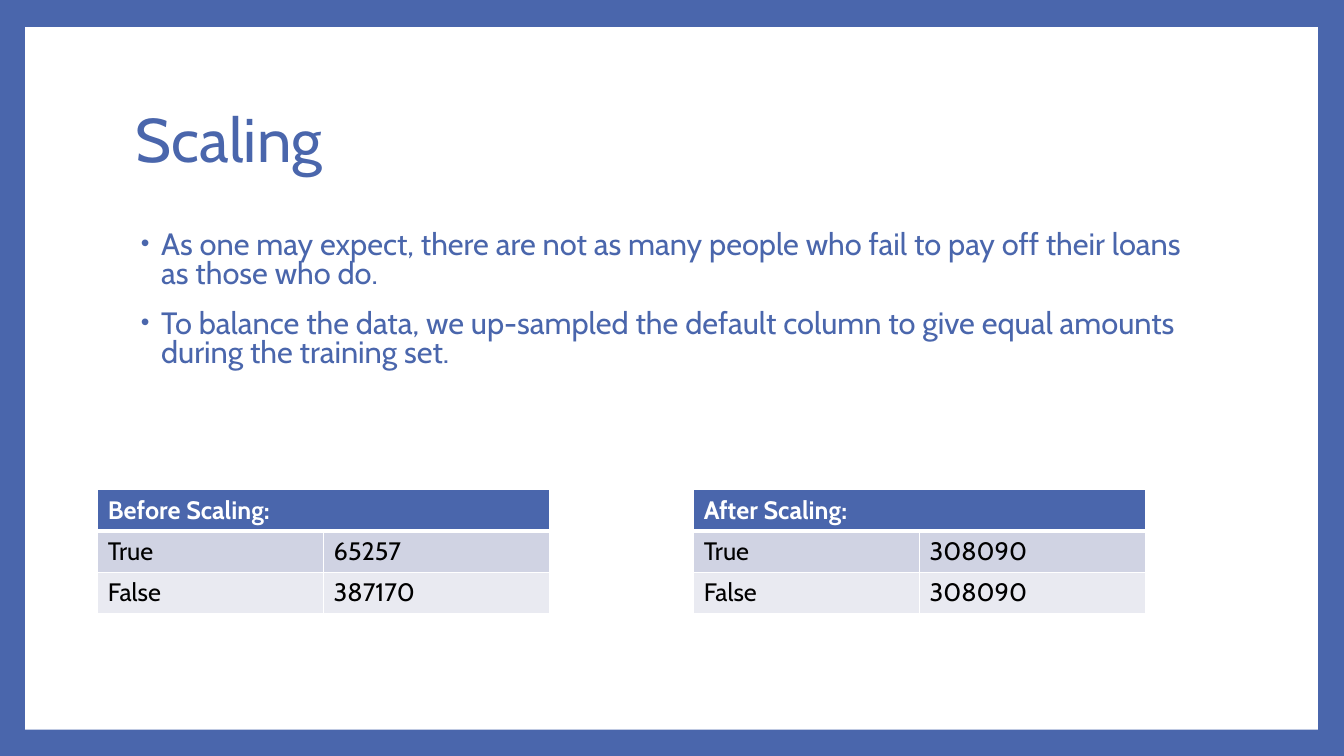
from dataclasses import dataclass

from lxml import etree
from pptx import Presentation
from pptx.dml.color import RGBColor
from pptx.enum import shapes, text
from pptx.oxml import ns
from pptx.util import Inches, Pt

TITLE = "Scaling"
BULLETS = [
    "As one may expect, there are not as many people who fail to pay off their loans as those who do.",
    "To balance the data, we up-sampled the default column to give equal amounts during the training set.",
]
TABLES = [
    ("Before Scaling:", [("True", "65257"), ("False", "387170")]),
    ("After Scaling:", [("True", "308090"), ("False", "308090")]),
]


@dataclass(frozen=True)
class Theme:
    """Font, colours and type sizes of the slide."""
    font: str = "Cabin"
    blue: str = "4A66AC"
    white: str = "FFFFFF"
    black: str = "000000"
    bands: tuple = ("D0D3E3", "E9EAF1")
    title_size: int = 44
    body_size: int = 22
    table_size: int = 18


THEME = Theme()
TEXT_LEFT, TEXT_WIDTH = 1.25, 10.8
TABLE_LEFT, TABLE_TOP, TABLE_STEP = 0.97, 4.86, 5.91
COLUMN_WIDTH, ROW_HEIGHT = 2.24, 0.41


def paint(fill, color):
    """Give a fill one solid colour."""
    fill.solid()
    fill.fore_color.rgb = RGBColor.from_string(color)


def style_runs(paragraph, size, color, bold=False):
    """Set the font of every run in a paragraph."""
    for run in paragraph.runs:
        run.font.name = THEME.font
        run.font.size = Pt(size)
        run.font.bold = bold
        run.font.color.rgb = RGBColor.from_string(color)


def add_element(parent, tag, **attributes):
    """Append a DrawingML element and return it."""
    return etree.SubElement(parent, ns.qn(tag), attributes)


def add_bullet(paragraph):
    """Give a paragraph a hanging round bullet."""
    properties = paragraph._p.get_or_add_pPr()
    properties.set("marL", str(Inches(0.25)))
    properties.set("indent", str(Inches(-0.2)))
    color = add_element(properties, "a:buClr")
    add_element(color, "a:srgbClr", val=THEME.blue)
    add_element(properties, "a:buSzPct", val="80000")
    add_element(properties, "a:buFont", typeface="Arial")
    add_element(properties, "a:buChar", char="•")


def add_text(slide, top, height, lines, anchor):
    """Add a wrapping text box and return its text frame."""
    box = slide.shapes.add_textbox(
        Inches(TEXT_LEFT), Inches(top), Inches(TEXT_WIDTH), Inches(height))
    frame = box.text_frame
    frame.word_wrap = True
    frame.vertical_anchor = anchor
    frame.text = "\n".join(lines)
    return frame


def add_title(slide):
    """Add the slide title."""
    frame = add_text(slide, 0.67, 1.48, [TITLE], text.MSO_ANCHOR.MIDDLE)
    frame.paragraphs[0].line_spacing = 0.9
    style_runs(frame.paragraphs[0], THEME.title_size, THEME.blue)


def add_body(slide):
    """Add the bulleted explanation."""
    frame = add_text(slide, 2.25, 1.52, BULLETS, text.MSO_ANCHOR.TOP)
    for paragraph in frame.paragraphs:
        paragraph.line_spacing = 0.8
        paragraph.space_before = Pt(14)
        add_bullet(paragraph)
        style_runs(paragraph, THEME.body_size, THEME.blue)


def style_cell(cell, row):
    """Set borders, fill and font of a cell by its row."""
    header = row == 0
    widths = {"L": 1, "R": 1, "T": 3 if row == 1 else 1, "B": 3 if header else 1}
    properties = cell._tc.get_or_add_tcPr()
    for side, width in widths.items():
        line = add_element(properties, f"a:ln{side}", w=str(Pt(width)))
        fill = add_element(line, "a:solidFill")
        add_element(fill, "a:srgbClr", val=THEME.white)
    paint(cell.fill, THEME.blue if header else THEME.bands[row - 1])
    color = THEME.white if header else THEME.black
    style_runs(cell.text_frame.paragraphs[0], THEME.table_size, color, header)


def add_count_table(slide, left, heading, counts):
    """Add a table of class counts under a merged heading."""
    rows = [(heading, ""), *counts]
    table = slide.shapes.add_table(
        len(rows), 2, Inches(left), Inches(TABLE_TOP),
        Inches(2 * COLUMN_WIDTH), Inches(len(rows) * ROW_HEIGHT)).table
    for row, values in enumerate(rows):
        for column, value in enumerate(values):
            cell = table.cell(row, column)
            cell.text = value
            style_cell(cell, row)
    table.cell(0, 0).merge(table.cell(0, 1))


def main():
    """Build and save the slide."""
    presentation = Presentation()
    presentation.slide_width = Inches(13.33)
    presentation.slide_height = Inches(7.5)
    slide = presentation.slides.add_slide(presentation.slide_layouts[6])
    paint(slide.background.fill, THEME.blue)
    panel = slide.shapes.add_shape(
        shapes.MSO_SHAPE.RECTANGLE,
        Inches(0.25), Inches(0.27), Inches(12.82), Inches(6.97))
    panel.shadow.inherit = False
    paint(panel.fill, THEME.white)
    panel.line.fill.background()
    add_title(slide)
    add_body(slide)
    for index, (heading, counts) in enumerate(TABLES):
        add_count_table(slide, TABLE_LEFT + index * TABLE_STEP, heading, counts)
    presentation.save("out.pptx")


main()
